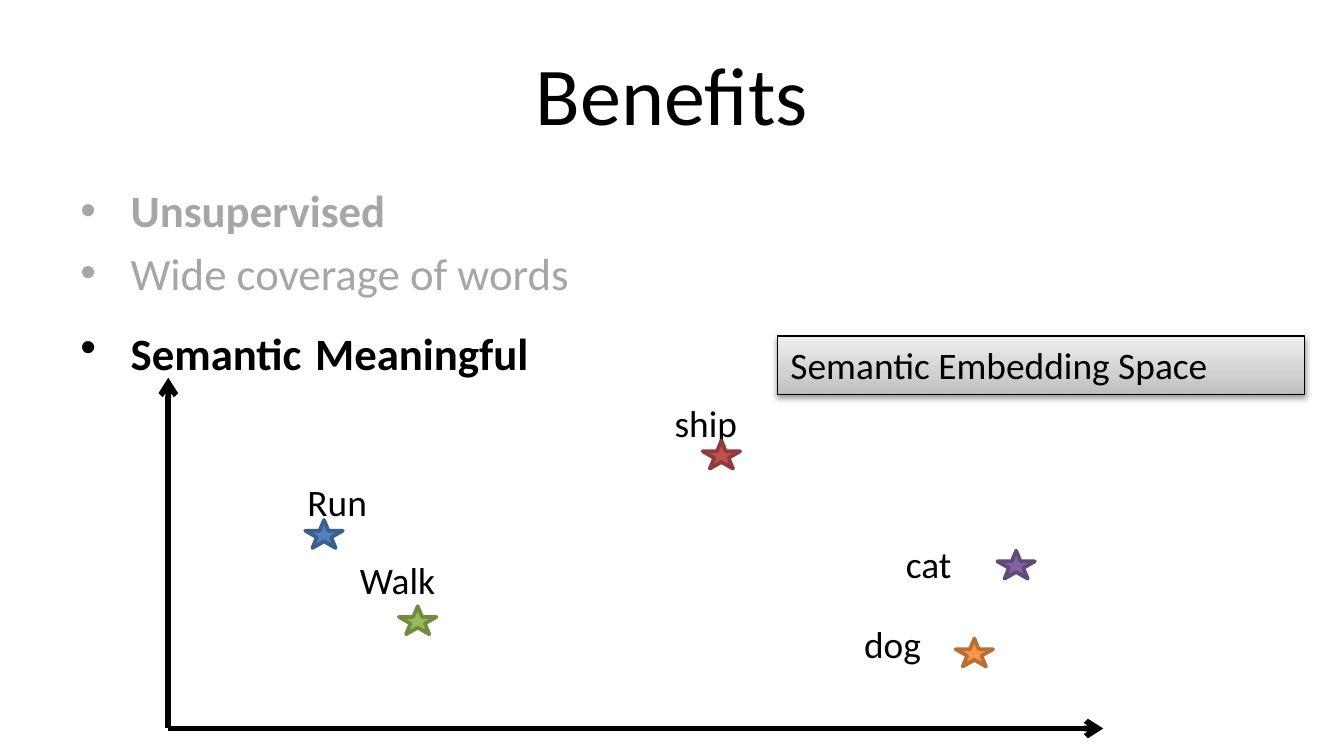
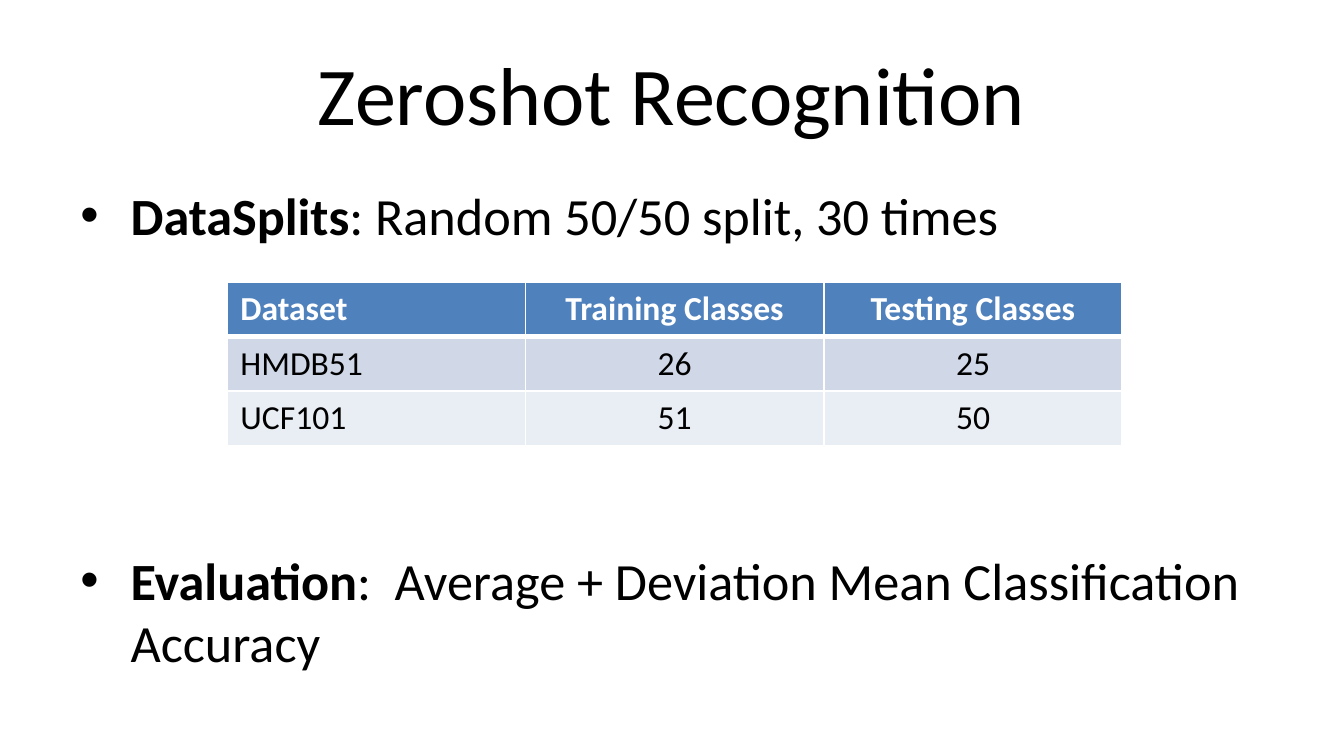
import pptx
import pptx.chart.data
import pptx.dml.color
import pptx.enum.shapes
import pptx.enum.text
import pptx.oxml
import pptx.oxml.ns
import pptx.util
from copy import deepcopy
from lxml import etree

Cm = pptx.util.Cm
Pt = pptx.util.Pt
qn = pptx.oxml.ns.qn
ALIGN = pptx.enum.text.PP_ALIGN
ANCHOR = pptx.enum.text.MSO_ANCHOR
SHAPE = pptx.enum.shapes.MSO_SHAPE

FONT = "Calibri"
COLORS = {
    "text": "000000", "faded": "A6A6A6", "white": "FFFFFF",
    "header": "4F81BD", "band dark": "D0D8E8", "band light": "E9EDF4",
}
BANNER_STOPS = [(0, "BDBDBD"), (0.35, "D1D1D1"), (1, "EEEEEE")]

# word, label left, top and width, star left and top, star fill and outline
WORDS = [
    ("Run", 5.56, 8.94, 1.65, 5.77, 9.83, "4F81BD", "3A5F8C"),
    ("Walk", 6.55, 10.41, 1.96, 7.54, 11.46, "9BBB59", "738A42"),
    ("ship", 12.5, 7.44, 1.7, 13.28, 8.33, "C0504D", "8E3B39"),
    ("cat", 16.87, 10.11, 1.4, 18.85, 10.41, "8064A2", "5F4A78"),
    ("dog", 16.08, 11.61, 1.6, 18.06, 12.07, "F79646", "B76F34"),
]
SPLITS = [
    ("Dataset", "Training Classes", "Testing Classes"),
    ("HMDB51", "26", "25"),
    ("UCF101", "51", "50"),
]


def rgb(value):
    return pptx.dml.color.RGBColor.from_string(value)


def cm(*lengths):
    return [Cm(length) for length in lengths]


def add_xml(parent, tag, **attributes):
    return etree.SubElement(parent, qn(tag), attributes)


def style(para, size, color=COLORS["text"], bold=None):
    para.font.name = FONT
    para.font.size = Pt(size)
    para.font.color.rgb = rgb(color)
    para.font.bold = bold


def add_page(deck, title):
    page = deck.slides.add_slide(deck.slide_layouts[5])
    box = page.shapes.title
    box.left, box.top, box.width, box.height = cm(1.27, 0.57, 22.86, 2.38)
    box.text_frame.text = title
    box.text_frame.vertical_anchor = ANCHOR.MIDDLE
    para = box.text_frame.paragraphs[0]
    para.alignment = ALIGN.CENTER
    style(para, 44)
    return page


def add_bullets(page, size, items):
    """Each item is (space before, colour, [(text, bold, own size), ...])."""
    frame = page.shapes.add_textbox(*cm(1.27, 3.33, 22.86, 9.43)).text_frame
    frame.word_wrap = True
    for index, (space, color, spans) in enumerate(items):
        para = frame.paragraphs[0] if index == 0 else frame.add_paragraph()
        properties = para._p.get_or_add_pPr()
        properties.set("marL", str(Cm(0.95)))
        properties.set("indent", str(-Cm(0.95)))
        add_xml(properties, "a:buFont", typeface="Arial")
        add_xml(properties, "a:buChar", char="•")
        if space:
            para.space_before = Pt(space)
        style(para, size, color)
        for text, bold, own_size in spans:
            span = para.add_run()
            span.text = text
            span.font.bold = bold
            if own_size:
                span.font.size = Pt(own_size)


def add_label(page, text, left, top, width):
    box = page.shapes.add_textbox(*cm(left, top, width, 1.11))
    box.text_frame.word_wrap = False
    box.text_frame.text = text
    style(box.text_frame.paragraphs[0], 20)


def add_star(page, left, top, fill, outline):
    star = page.shapes.add_shape(SHAPE.STAR_5_POINT, *cm(left, top, 0.71, 0.53))
    star.shadow.inherit = False
    star.fill.solid()
    star.fill.fore_color.rgb = rgb(fill)
    star.line.color.rgb = rgb(outline)
    star.line.width = Pt(2)


def add_axis(page, *ends):
    axis = page.shapes.add_connector(
        pptx.enum.shapes.MSO_CONNECTOR.STRAIGHT, *cm(*ends))
    axis.line.color.rgb = rgb(COLORS["text"])
    axis.line.width = Pt(3)
    add_xml(axis.line._get_or_add_ln(), "a:tailEnd", type="arrow")
    add_xml(axis._element.spPr, "a:effectLst")


def add_banner(page, text):
    """Draw the grey gradient heading with its soft shadow."""
    banner = page.shapes.add_shape(SHAPE.RECTANGLE, *cm(14.69, 6.35, 9.97, 1.11))
    banner.fill.gradient()
    banner.fill.gradient_angle = 90
    properties = banner._element.spPr
    stop_list = properties.find(".//" + qn("a:gsLst"))
    stop_list.append(deepcopy(stop_list[-1]))
    for stop, (position, color) in zip(banner.fill.gradient_stops, BANNER_STOPS):
        stop.position = position
        stop.color.rgb = rgb(color)
    banner.line.color.rgb = rgb(COLORS["text"])
    banner.line.width = Pt(0.75)
    banner.shadow.inherit = False
    shadow = add_xml(properties.find(qn("a:effectLst")), "a:outerShdw",
                     blurRad=str(Pt(3.1)), dist=str(Pt(1.6)),
                     dir="5400000", rotWithShape="0")
    shade = add_xml(shadow, "a:srgbClr", val=COLORS["text"])
    add_xml(shade, "a:alpha", val="38000")
    frame = banner.text_frame
    frame.text = text
    frame.word_wrap = True
    frame.vertical_anchor = ANCHOR.TOP
    frame.paragraphs[0].alignment = ALIGN.LEFT
    style(frame.paragraphs[0], 20)


def add_borders(cell, bottom):
    properties = cell._tc.get_or_add_tcPr()
    for side, width in (("L", 1), ("R", 1), ("T", 1), ("B", bottom)):
        line = add_xml(properties, "a:ln" + side, w=str(Pt(width)))
        fill = add_xml(line, "a:solidFill")
        add_xml(fill, "a:srgbClr", val=COLORS["white"])


def add_split_table(page, rows):
    table = page.shapes.add_table(
        len(rows), len(rows[0]), *cm(4.29, 5.33, 16.92, 3.09)).table
    fills = [COLORS[name] for name in ("header", "band dark", "band light")]
    for column in table.columns:
        column.width = Cm(5.64)
    for row_index, texts in enumerate(rows):
        header = row_index == 0
        table.rows[row_index].height = Cm(1.03)
        for column_index, text in enumerate(texts):
            cell = table.cell(row_index, column_index)
            add_borders(cell, 3 if header else 1)
            cell.fill.solid()
            cell.fill.fore_color.rgb = rgb(fills[row_index])
            cell.text = text
            para = cell.text_frame.paragraphs[0]
            para.alignment = ALIGN.CENTER if column_index else ALIGN.LEFT
            style(para, 18, COLORS["white" if header else "text"], header)


def build_benefits(deck):
    page = add_page(deck, "Benefits")
    add_bullets(page, 24, [
        (0, COLORS["faded"], [("Unsupervised", True, None)]),
        (4.8, COLORS["faded"], [("Wide coverage of words", False, None)]),
        (6.4, COLORS["text"], [("Semantic", True, None), (" ", True, 32),
                               ("Meaningful", True, None)]),
    ])
    add_banner(page, "Semantic Embedding Space")
    add_axis(page, 3.18, 13.77, 20.85, 13.77)
    add_axis(page, 3.18, 13.77, 3.18, 7.14)
    for word, left, top, width, star_left, star_top, fill, outline in WORDS:
        add_label(page, word, left, top, width)
        add_star(page, star_left, star_top, fill, outline)


def build_recognition(deck):
    page = add_page(deck, "Zeroshot Recognition")
    add_bullets(page, 28, [
        (0, COLORS["text"], [("DataSplits", True, None),
                             (": Random 50/50 split, 30 times", False, None)]),
        (162, COLORS["text"], [
            ("Evaluation", True, None),
            (":  Average + Deviation Mean Classification Accuracy", False, None)]),
    ])
    add_split_table(page, SPLITS)


def main():
    deck = pptx.Presentation()
    deck.slide_width, deck.slide_height = cm(25.4, 14.29)
    build_benefits(deck)
    build_recognition(deck)
    deck.save("out.pptx")


if __name__ == "__main__":
    main()
